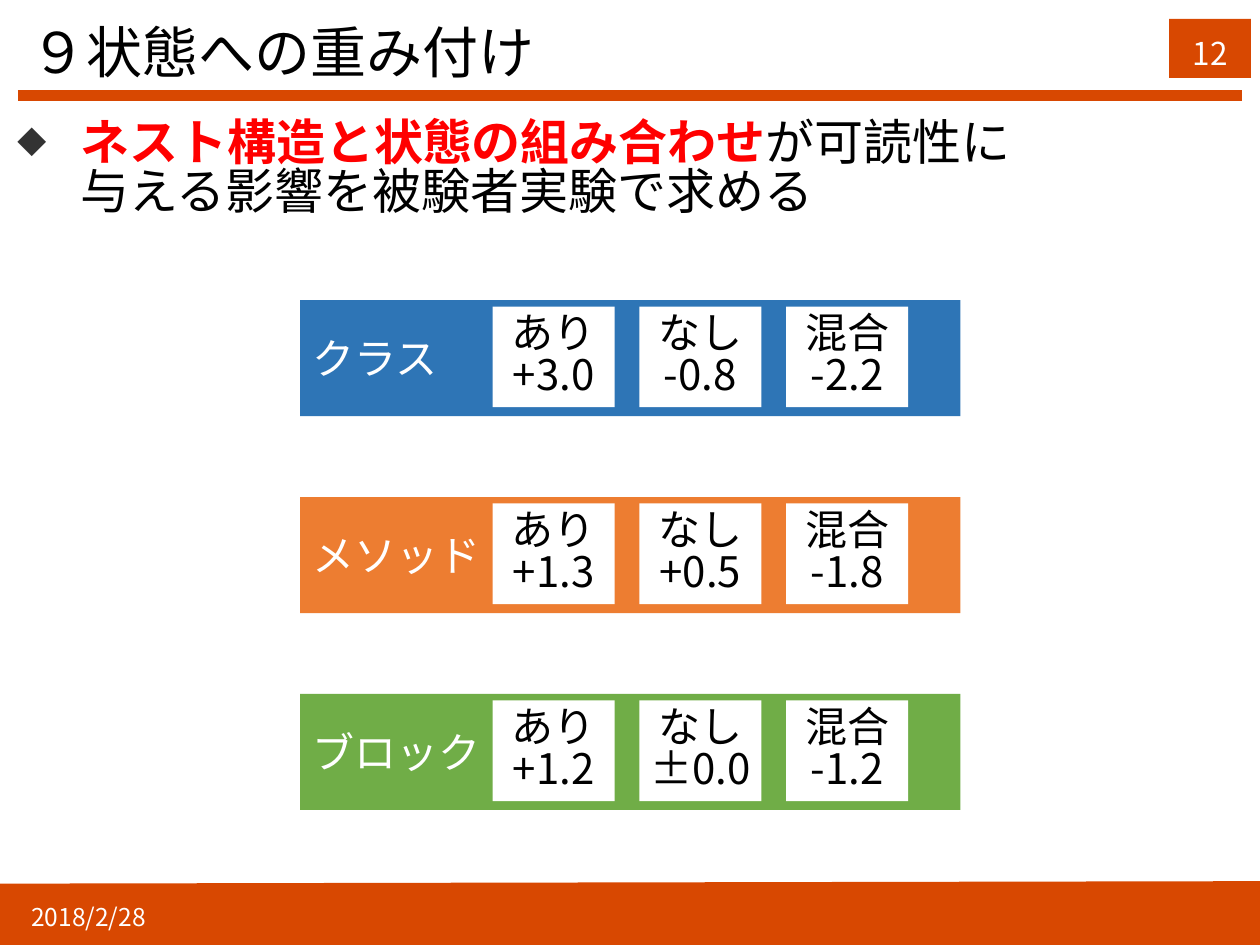
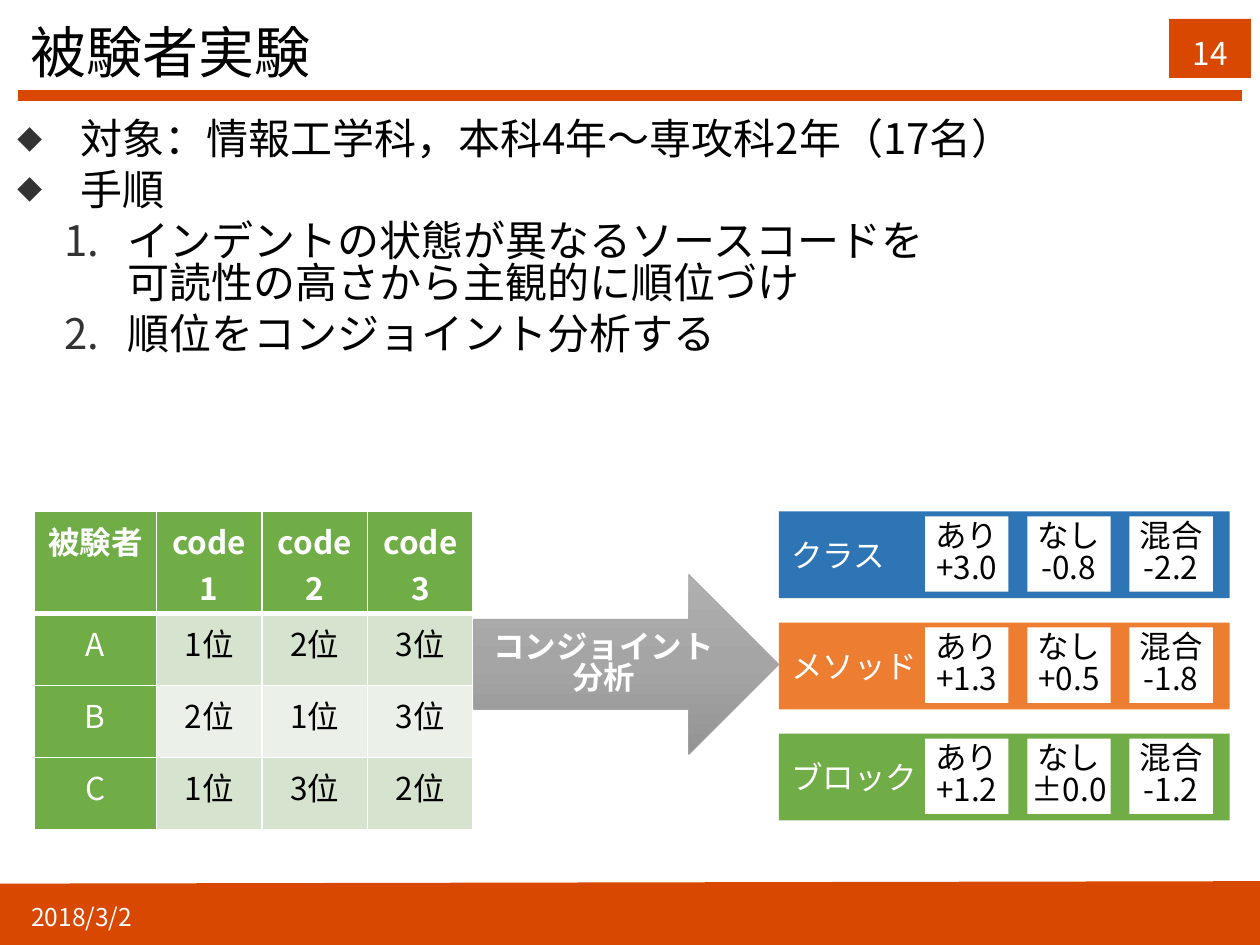
from copy import deepcopy
from dataclasses import dataclass

from lxml import etree
from pptx import Presentation
from pptx.dml.color import RGBColor
from pptx.enum.shapes import MSO_CONNECTOR, MSO_SHAPE
from pptx.enum.text import MSO_ANCHOR, MSO_AUTO_SIZE, PP_ALIGN
from pptx.oxml.ns import qn
from pptx.util import Cm, Pt

RECTANGLE, ARROW = MSO_SHAPE.RECTANGLE, MSO_SHAPE.RIGHT_ARROW
STRAIGHT = MSO_CONNECTOR.STRAIGHT
MIDDLE, BOTTOM = MSO_ANCHOR.MIDDLE, MSO_ANCHOR.BOTTOM
LEFT, CENTER = PP_ALIGN.LEFT, PP_ALIGN.CENTER
NO_FIT = MSO_AUTO_SIZE.NONE


@dataclass(frozen=True)
class Theme:
    font: str = "Noto Sans CJK JP"
    accent: str = "D84801"
    ink: str = "000000"
    paper: str = "FFFFFF"
    alert: str = "FF0000"
    bullet: str = "333333"
    blue: str = "2E75B6"
    orange: str = "ED7D31"
    green: str = "70AD47"
    stripes: tuple = ("D5E3CF", "EBF1E9")
    arrow: tuple = ("AFAFAF", "A5A5A5", "939393")
    title_size: int = 32
    lead_size: int = 28
    text_size: int = 24
    small_size: int = 18
    date_size: int = 14
    tight: float = 0.84


THEME = Theme()


@dataclass(frozen=True)
class Span:
    text: str
    color: str = THEME.ink
    bold: bool = False


@dataclass(frozen=True)
class Item:
    spans: tuple
    numbered: bool = False


@dataclass(frozen=True)
class Bar:
    name: str
    color: str
    weights: tuple


@dataclass(frozen=True)
class BarLayout:
    """Lengths in centimetres; chip offsets count from the bar's corner."""
    left: float
    top: float
    width: float
    height: float
    pitch: float
    chip_left: float
    chip_top: float
    chip_width: float
    chip_height: float
    chip_pitch: float
    size: int


STATES = ("あり", "なし", "混合")
BARS = (
    Bar("クラス", THEME.blue, ("+3.0", "-0.8", "-2.2")),
    Bar("メソッド", THEME.orange, ("+1.3", "+0.5", "-1.8")),
    Bar("ブロック", THEME.green, ("+1.2", "±0.0", "-1.2")),
)
LARGE_BARS = BarLayout(6.05, 6.05, 13.31, 2.34, 3.97, 3.88, 0.13, 2.46, 2.03, 2.96,
                       THEME.text_size)
SMALL_BARS = BarLayout(15.7, 10.31, 9.09, 1.75, 2.24, 2.95, 0.1, 1.68, 1.52, 2.06,
                       THEME.small_size)
RANKS = (
    ("被験者", "code1", "code2", "code3"),
    ("A", "1位", "2位", "3位"),
    ("B", "2位", "1位", "3位"),
    ("C", "1位", "3位", "2位"),
)


def rgb(color: str) -> RGBColor:
    return RGBColor.from_string(color)


def write(para, text: str, *, size: int, color: str = THEME.ink, bold: bool = False,
          align=LEFT, spacing: float = 1.0) -> None:
    """Add text to a paragraph; a newline becomes a line break."""
    para.alignment = align
    para.line_spacing = spacing
    for index, line in enumerate(text.split("\n")):
        if index:
            para.add_line_break()
            line_break = para._p[-1]
        span = para.add_run()
        span.text = line
        span.font.name = THEME.font
        span.font.size = Pt(size)
        span.font.bold = bold
        span.font.color.rgb = rgb(color)
        properties = span._r.get_or_add_rPr()
        etree.SubElement(properties, qn("a:ea"), typeface=THEME.font)
        if index:
            line_break.append(deepcopy(properties))


def place(shape, left: float, top: float, width: float, height: float) -> None:
    shape.left, shape.top = Cm(left), Cm(top)
    shape.width, shape.height = Cm(width), Cm(height)


def add_box(shapes, left: float, top: float, width: float, height: float,
            fill: str, kind=RECTANGLE):
    box = shapes.add_shape(kind, Cm(left), Cm(top), Cm(width), Cm(height))
    box.shadow.inherit = False
    box.fill.solid()
    box.fill.fore_color.rgb = rgb(fill)
    box.line.fill.background()
    box.text_frame.word_wrap = True
    box.text_frame.vertical_anchor = MIDDLE
    return box


def add_rule(page, start: tuple, end: tuple, weight: float) -> None:
    rule = page.shapes.add_connector(STRAIGHT, *(Cm(value) for value in start + end))
    rule.line.color.rgb = rgb(THEME.accent)
    rule.line.width = Pt(weight)
    etree.SubElement(rule._element.spPr, qn("a:effectLst"))


def set_bullet(para, numbered: bool) -> None:
    properties = para._p.get_or_add_pPr()
    properties.set("marL", str(Cm(2.21 if numbered else 1.27)))
    properties.set("indent", str(Cm(-1.27)))
    color = etree.SubElement(properties, qn("a:buClr"))
    etree.SubElement(color, qn("a:srgbClr"), val=THEME.bullet)
    etree.SubElement(properties, qn("a:buSzPct"), val="100000" if numbered else "60000")
    etree.SubElement(properties, qn("a:buFont"), typeface=THEME.font)
    if numbered:
        etree.SubElement(properties, qn("a:buAutoNum"), type="arabicPeriod")
    else:
        etree.SubElement(properties, qn("a:buChar"), char="◆")


def add_page(deck, title: str, number: str, date: str):
    """Start a slide with the shared title, rules, number and date."""
    page = deck.slides.add_slide(deck.slide_layouts[1])
    add_rule(page, (0, 18.47), (25.4, 18.42), 37.25)
    add_rule(page, (0.36, 1.93), (25.04, 1.93), 6)

    badge = add_box(page.shapes, 23.57, 0.38, 1.65, 1.19, THEME.accent)
    badge.text_frame.vertical_anchor = BOTTOM
    write(badge.text_frame.paragraphs[0], number, size=THEME.small_size,
          color=THEME.paper, align=CENTER)

    heading = page.shapes.title
    place(heading, 0.36, 0.15, 22.86, 1.78)
    heading.text_frame.auto_size = NO_FIT
    heading.text_frame.vertical_anchor = MIDDLE
    write(heading.text_frame.paragraphs[0], title, size=THEME.title_size)

    footer = page.shapes.add_textbox(Cm(0.38), Cm(17.93), Cm(5.92), Cm(1.09))
    footer.text_frame.word_wrap = True
    footer.text_frame.vertical_anchor = MIDDLE
    write(footer.text_frame.paragraphs[0], date, size=THEME.date_size, color=THEME.paper)
    return page


def fill_body(page, items: tuple, size: int) -> None:
    body = page.placeholders[1]
    place(body, 0.1, 2.31, 25.2, 15.39)
    frame = body.text_frame
    frame.auto_size = NO_FIT
    for index, item in enumerate(items):
        para = frame.add_paragraph() if index else frame.paragraphs[0]
        para.level = int(item.numbered)
        para.space_before = Pt(size * 0.2 if index else 0)
        set_bullet(para, item.numbered)
        for span in item.spans:
            write(para, span.text, size=size, color=span.color, bold=span.bold,
                  spacing=THEME.tight)


def draw_bars(shapes, layout: BarLayout) -> None:
    """Draw one bar per nesting level, with a white chip per state."""
    for row, bar in enumerate(BARS):
        top = layout.top + row * layout.pitch
        band = add_box(shapes, layout.left, top, layout.width, layout.height, bar.color)
        write(band.text_frame.paragraphs[0], bar.name, size=layout.size, color=THEME.paper)
        for column, (state, weight) in enumerate(zip(STATES, bar.weights)):
            left = layout.left + layout.chip_left + column * layout.chip_pitch
            chip = add_box(shapes, left, top + layout.chip_top,
                           layout.chip_width, layout.chip_height, THEME.paper)
            frame = chip.text_frame
            frame.word_wrap = False
            for para, text in ((frame.paragraphs[0], state), (frame.add_paragraph(), weight)):
                write(para, text, size=layout.size, align=CENTER, spacing=THEME.tight)


def set_borders(cell, bottom: float) -> None:
    properties = cell._tc.get_or_add_tcPr()
    widths = (("L", 1), ("R", 1), ("T", 1), ("B", bottom))
    for index, (side, weight) in enumerate(widths):
        line = etree.Element(qn(f"a:ln{side}"), w=str(Pt(weight)))
        fill = etree.SubElement(line, qn("a:solidFill"))
        etree.SubElement(fill, qn("a:srgbClr"), val=THEME.paper)
        properties.insert(index, line)


def draw_ranks(page) -> None:
    widths, heights = (2.46, 2.13, 2.13, 2.13), (2.06, 1.45, 1.45, 1.45)
    table = page.shapes.add_table(len(RANKS), len(RANKS[0]), Cm(0.69), Cm(10.31),
                                  Cm(sum(widths)), Cm(sum(heights))).table
    for column, width in zip(table.columns, widths):
        column.width = Cm(width)
    for row, height in zip(table.rows, heights):
        row.height = Cm(height)
    for row, values in enumerate(RANKS):
        for column, value in enumerate(values):
            cell = table.cell(row, column)
            header = row == 0 or column == 0
            cell.margin_left = cell.margin_right = Cm(0.23)
            cell.margin_top = cell.margin_bottom = Cm(0.13)
            cell.fill.solid()
            cell.fill.fore_color.rgb = rgb(
                THEME.green if header else THEME.stripes[(row - 1) % 2])
            set_borders(cell, bottom=1 if row else 3)
            write(cell.text_frame.paragraphs[0], value, size=THEME.small_size,
                  color=THEME.paper if header else THEME.ink, bold=row == 0, align=CENTER)


def draw_analysis_arrow(page) -> None:
    arrow = add_box(page.shapes, 9.55, 11.58, 6.15, 3.63, THEME.arrow[1], ARROW)
    arrow.line.color.rgb = rgb(THEME.arrow[1])
    arrow.line.width = Pt(0.5)
    arrow.fill.gradient()
    arrow.fill.gradient_angle = 270
    stops = arrow._element.spPr.find(".//" + qn("a:gsLst"))
    stops.insert(1, deepcopy(stops[0]))
    for index, (stop, color) in enumerate(zip(arrow.fill.gradient_stops, THEME.arrow)):
        stop.color.rgb = rgb(color)
        stop.position = index / 2
    write(arrow.text_frame.paragraphs[0], "コンジョイント分析", size=THEME.small_size,
          color=THEME.paper, bold=True, align=CENTER, spacing=THEME.tight)


def build_weights(deck) -> None:
    page = add_page(deck, "９状態への重み付け", "12", "2018/2/28")
    fill_body(page, (
        Item((Span("ネスト構造と状態の組み合わせ", THEME.alert, True),
              Span("が可読性に\n与える影響を被験者実験で求める"))),
    ), THEME.lead_size)
    draw_bars(page.shapes.add_group_shape().shapes, LARGE_BARS)


def build_experiment(deck) -> None:
    page = add_page(deck, "被験者実験", "14", "2018/3/2")
    fill_body(page, (
        Item((Span("対象：情報工学科，本科4年～専攻科2年（17名）"),)),
        Item((Span("手順"),)),
        Item((Span("インデントの状態が異なるソースコードを\n可読性の高さから主観的に順位づけ"),),
             numbered=True),
        Item((Span("順位をコンジョイント分析する"),), numbered=True),
    ), THEME.text_size)
    draw_ranks(page)
    draw_bars(page.shapes, SMALL_BARS)
    draw_analysis_arrow(page)


def main() -> None:
    deck = Presentation()
    deck.slide_width, deck.slide_height = Cm(25.4), Cm(19.05)
    build_weights(deck)
    build_experiment(deck)
    deck.save("out.pptx")


if __name__ == "__main__":
    main()
